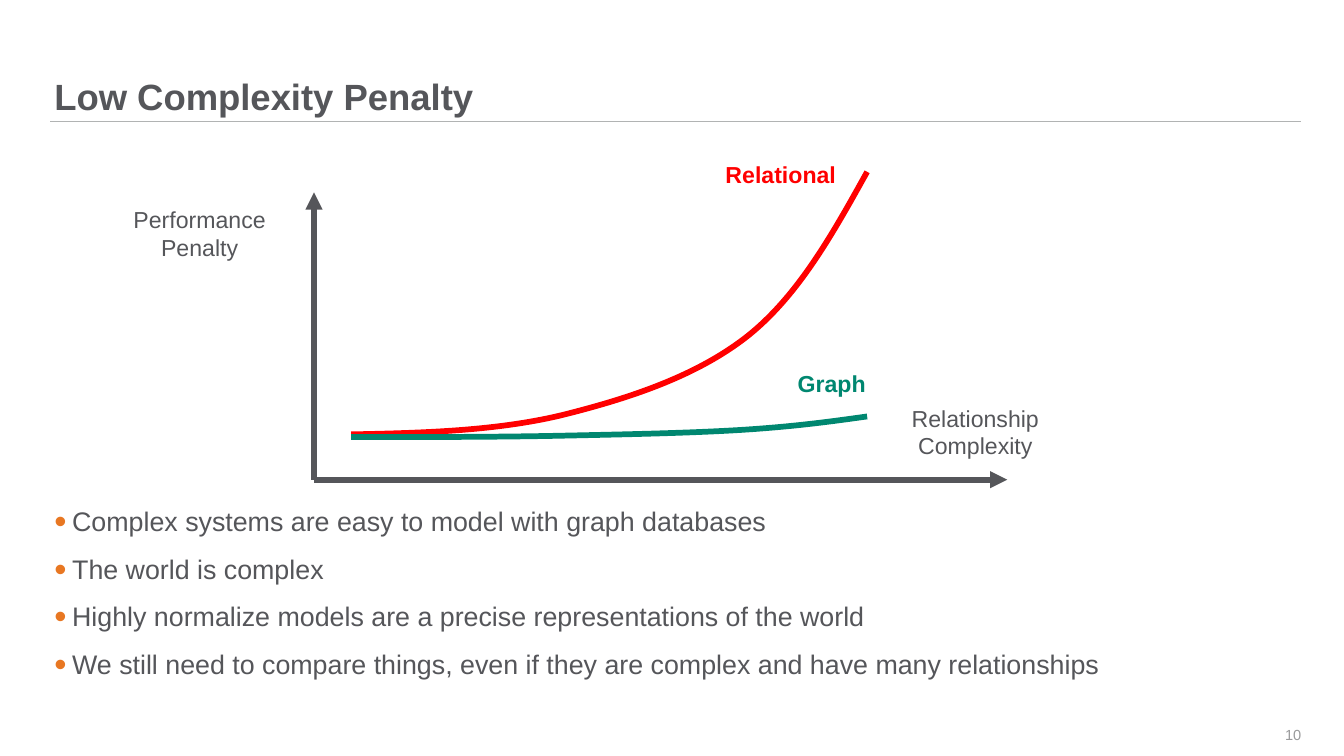
from lxml import etree
from pptx import Presentation
from pptx import util as u
from pptx.dml.color import RGBColor
from pptx.enum import shapes, text
from pptx.oxml import ns

PX = 9144
GREY, RED, GREEN = "55565A", "FF0000", "008770"
ALIGN, ANCHOR, FIT = text.PP_ALIGN, text.MSO_ANCHOR, text.MSO_AUTO_SIZE


def px(length):
    return u.Emu(round(length * PX))


def color(value):
    return RGBColor.from_string(value)


def add_element(parent, tag, **attributes):
    return etree.SubElement(parent, ns.qn(tag), attributes)


def write(para, words, size=24.2, ink=GREY, bold=False, align=ALIGN.LEFT,
          spacing=None, before=0, after=0):
    para.alignment = align
    para.line_spacing = spacing
    para.space_before, para.space_after = u.Pt(before), u.Pt(after)
    span = para.add_run()
    span.text = words
    span.font.name, span.font.size, span.font.bold = "Arial", u.Pt(size), bold
    span.font.color.rgb = color(ink)


def add_bullet(para, ink, percent, indent):
    properties = para._p.get_or_add_pPr()
    properties.set("marL", str(px(indent)))
    properties.set("indent", str(-px(indent)))
    add_element(add_element(properties, "a:buClr"), "a:srgbClr", val=ink)
    add_element(properties, "a:buSzPct", val=str(percent * 1000))
    add_element(properties, "a:buFont", typeface="Arial")
    add_element(properties, "a:buChar", char="•")


def bend(outline):
    segments = list(outline.iter(ns.qn("a:lnTo")))
    route = segments[0].getparent()
    for first in range(0, len(segments), 3):
        cubic = add_element(route, "a:cubicBezTo")
        for segment in segments[first:first + 3]:
            cubic.append(segment[0])
            route.remove(segment)


class Page:
    def __init__(self, slide):
        self.shapes = slide.shapes

    def text(self, left, top, width, height, lines, anchor=ANCHOR.TOP,
             label=False, bullets=False, **style):
        box = self.shapes.add_textbox(px(left), px(top), px(width), px(height))
        frame = box.text_frame
        frame.word_wrap = not label
        frame.vertical_anchor = anchor
        if label:
            frame.auto_size = FIT.SHAPE_TO_FIT_TEXT
        else:
            frame.margin_left = frame.margin_right = 0
            frame.margin_top = frame.margin_bottom = 0
        for number, words in enumerate(lines):
            para = frame.add_paragraph() if number else frame.paragraphs[0]
            if bullets:
                add_bullet(para, "E87722", 130, 26)
            write(para, words, **{**style, "before": style.get("before", 0) if number else 0})

    def label(self, left, top, width, height, *lines, **style):
        self.text(left, top, width, height, lines, label=True, **style)

    def line(self, start, end, ink, weight, arrow=False):
        line = self.shapes.add_connector(
            shapes.MSO_CONNECTOR.STRAIGHT, *(px(v) for v in (*start, *end)))
        line.line.color.rgb = color(ink)
        line.line.width = u.Pt(weight)
        if arrow:
            add_element(line.line._get_or_add_ln(), "a:tailEnd", type="triangle")
        add_element(line._element.spPr, "a:effectLst")

    def curve(self, points, ink, weight):
        builder = self.shapes.build_freeform(*points[0], scale=PX)
        builder.add_line_segments(points[1:], close=False)
        curve = builder.convert_to_shape()
        bend(curve._element)
        curve.fill.background()
        curve.line.color.rgb = color(ink)
        curve.line.width = u.Pt(weight)
        curve.shadow.inherit = False


def main():
    deck = Presentation()
    deck.slide_width, deck.slide_height = px(1956), px(1100)
    page = Page(deck.slides.add_slide(deck.slide_layouts[6]))

    page.line((73, 177), (1894, 177), "B1B3B3", 1)
    page.text(79, 0, 1815, 172, ["Low Complexity Penalty"], anchor=ANCHOR.BOTTOM,
              size=38.2, bold=True, spacing=0.9)
    page.text(79, 738, 1815, 269, [
        "Complex systems are easy to model with graph databases",
        "The world is complex",
        "Highly normalize models are a precise representations of the world",
        "We still need to compare things, even if they are complex and have many relationships",
    ], bullets=True, size=28.1, spacing=0.95, before=10.2, after=7.7)
    page.text(1807, 1040, 87, 59, ["10"], anchor=ANCHOR.MIDDLE,
              size=15.3, ink="999A9B", align=ALIGN.RIGHT)

    origin = (457, 698)
    page.line(origin, (457, 280), GREY, 6, arrow=True)
    page.label(183, 294, 215, 92, "Performance", "Penalty", align=ALIGN.CENTER)
    page.line(origin, (1466, 698), GREY, 6, arrow=True)
    page.label(1316, 583, 207, 92, "Relationship", "Complexity", align=ALIGN.CENTER)

    across = (511, 616, 722, 818, 914, 1013, 1088, 1162, 1212, 1262)
    relational = (632, 630, 627, 604, 580, 548, 489, 430, 340, 250)
    graph = (636, 636, 636, 634, 632, 630, 625, 620, 613, 606)
    page.curve(list(zip(across, relational)), RED, 6)
    page.label(1046, 228, 183, 51, "Relational", ink=RED, bold=True)
    page.curve(list(zip(across, graph)), GREEN, 6)
    page.label(1151, 532, 120, 51, "Graph", ink=GREEN, bold=True)

    deck.save("out.pptx")


if __name__ == "__main__":
    main()
